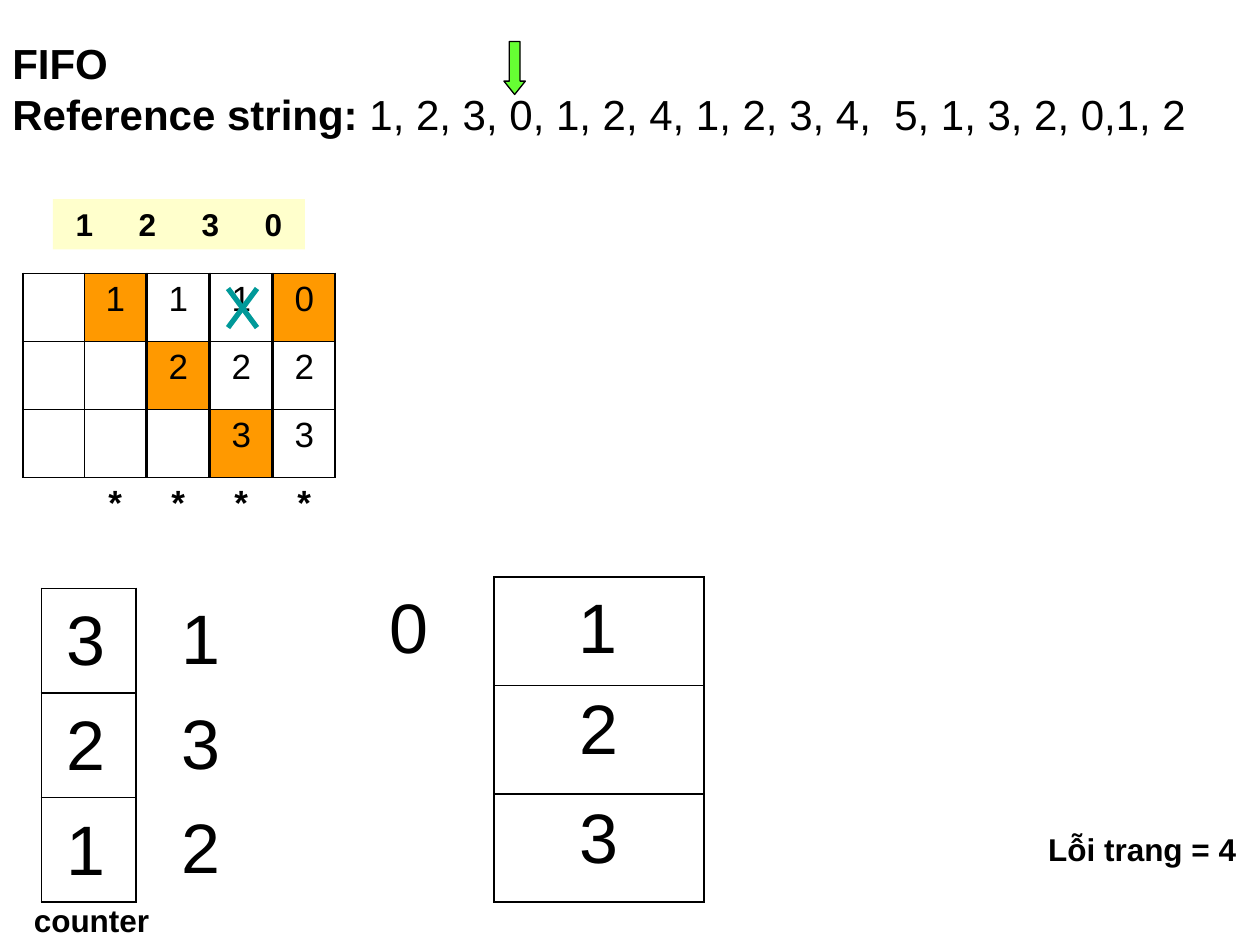
from dataclasses import dataclass

from lxml import etree
from pptx import Presentation
from pptx.dml.color import RGBColor
from pptx.enum import shapes, text
from pptx.oxml import ns
from pptx.util import Inches, Pt

BLACK = RGBColor(0x00, 0x00, 0x00)
CREAM = RGBColor(0xFF, 0xFF, 0xCC)
ORANGE = RGBColor(0xFF, 0x99, 0x00)
TEAL = RGBColor(0x00, 0x99, 0x99)
GREEN = RGBColor(0x66, 0xFF, 0x33)
FONT = "Arial"
NO_STYLE = "{2D5ABB26-0587-4C30-8999-92F81FD0307C}"
THIN, THICK = 0.45, 1.08


@dataclass
class Step:
    page: str
    frames: tuple[str, ...]
    loaded: int | None
    fault: str = "*"


@dataclass
class Label:
    words: str
    left: float
    top: float
    width: float
    height: float
    size: float = 40
    bold: bool = False


@dataclass
class Cell:
    words: str = ""
    borders: tuple[float, float, float, float] = (THICK,) * 4
    fill: RGBColor | None = None
    bold: bool = False


def set_font(font, size: float, bold: bool) -> None:
    font.name, font.size, font.bold = FONT, Pt(size), bold
    font.color.rgb = BLACK


def set_borders(cell, widths: tuple[float, ...]) -> None:
    properties = cell._tc.get_or_add_tcPr()
    for side, width in zip("LRTB", widths):
        line = etree.SubElement(properties, ns.qn(f"a:ln{side}"))
        if width:
            line.set("w", str(Pt(width)))
            fill = etree.SubElement(line, ns.qn("a:solidFill"))
            etree.SubElement(fill, ns.qn("a:srgbClr"), val=str(BLACK))
        else:
            etree.SubElement(line, ns.qn("a:noFill"))


def add_column(slide, left: float, top: float, width: float, row_height: float,
               cells: list[Cell], size: float, space: float) -> None:
    frame = slide.shapes.add_table(len(cells), 1, Inches(left), Inches(top),
                                   Inches(width), Inches(row_height * len(cells)))
    table = frame.table
    table.first_row = table.horz_banding = False
    table._tbl.tblPr.find(ns.qn("a:tableStyleId")).text = NO_STYLE
    for row, content in enumerate(cells):
        cell = table.cell(row, 0)
        set_borders(cell, content.borders)
        if content.fill is None:
            cell.fill.background()
        else:
            cell.fill.solid()
            cell.fill.fore_color.rgb = content.fill
        cell.text = content.words
        paragraph = cell.text_frame.paragraphs[0]
        paragraph.alignment = text.PP_ALIGN.CENTER
        paragraph.space_before = Pt(space)
        set_font(paragraph.font, size, content.bold)


def add_label(slide, label: Label) -> None:
    box = slide.shapes.add_textbox(Inches(label.left), Inches(label.top),
                                   Inches(label.width), Inches(label.height))
    box.text_frame.word_wrap = False
    box.text_frame.auto_size = text.MSO_AUTO_SIZE.SHAPE_TO_FIT_TEXT
    box.text_frame.text = label.words
    set_font(box.text_frame.paragraphs[0].font, label.size, label.bold)


def add_heading(slide) -> None:
    box = slide.shapes.add_textbox(Inches(0), Inches(0.25), Inches(10), Inches(0.9))
    frame = box.text_frame
    frame.word_wrap = True
    frame.auto_size = text.MSO_AUTO_SIZE.SHAPE_TO_FIT_TEXT
    frame.text = "FIFO"
    set_font(frame.paragraphs[0].font, 24, True)
    reference = frame.add_paragraph()
    set_font(reference.font, 24, True)
    reference.add_run().text = "Reference string:"
    pages = reference.add_run()
    pages.text = " 1, 2, 3, 0, 1, 2, 4, 1, 2, 3, 4,  5, 1, 3, 2, 0,1, 2"
    pages.font.bold = False


def add_page(slide, page: str, left: float) -> None:
    tile = slide.shapes.add_shape(shapes.MSO_SHAPE.RECTANGLE, Inches(left),
                                  Inches(1.58), Inches(0.5), Inches(0.4))
    tile.shadow.inherit = False
    tile.fill.solid()
    tile.fill.fore_color.rgb = CREAM
    tile.line.fill.background()
    frame = tile.text_frame
    frame.word_wrap = True
    frame.auto_size = text.MSO_AUTO_SIZE.SHAPE_TO_FIT_TEXT
    frame.vertical_anchor = text.MSO_ANCHOR.TOP
    frame.text = page
    paragraph = frame.paragraphs[0]
    paragraph.alignment = text.PP_ALIGN.CENTER
    paragraph.space_before = Pt(11.2)
    set_font(paragraph.font, 18, True)


def add_step(slide, step: Step, left: float) -> None:
    borders = [(THICK, THICK, THICK, THIN), (THICK, THICK, THIN, THIN),
               (THICK, THICK, THIN, THICK)]
    cells = [Cell(page, border, ORANGE if row == step.loaded else None)
             for row, (page, border) in enumerate(zip(step.frames, borders))]
    cells.append(Cell(step.fault, (0, 0, THICK, 0), bold=True))
    add_column(slide, left, 2.17, 0.49, 0.54, cells, size=20, space=5)


def add_cross(slide, left: float, top: float, right: float, bottom: float) -> None:
    for start, end in ((right, left), (left, right)):
        stroke = slide.shapes.add_connector(shapes.MSO_CONNECTOR.STRAIGHT, Inches(start),
                                            Inches(top), Inches(end), Inches(bottom))
        stroke.line.color.rgb = TEAL
        stroke.line.width = Pt(3)
        etree.SubElement(stroke._element.spPr, ns.qn("a:effectLst"))


def add_pointer(slide) -> None:
    pointer = slide.shapes.add_shape(shapes.MSO_SHAPE.DOWN_ARROW, Inches(4),
                                     Inches(0.33), Inches(0.17), Inches(0.42))
    pointer.adjustments[0], pointer.adjustments[1] = 0.5, 0.625
    pointer.shadow.inherit = False
    pointer.fill.solid()
    pointer.fill.fore_color.rgb = GREEN
    pointer.line.color.rgb = BLACK
    pointer.line.width = Pt(0.74)


STEPS = [
    Step("1", ("1", "", ""), 0),
    Step("2", ("1", "2", ""), 1),
    Step("3", ("1", "2", "3"), 2),
    Step("0", ("0", "2", "3"), 0),
]
START = Step("", ("", "", ""), None, "")
COUNTERS = [("3", "1"), ("2", "3"), ("1", "2")]

presentation = Presentation()
presentation.slide_width, presentation.slide_height = Inches(10), Inches(7.5)
slide = presentation.slides.add_slide(presentation.slide_layouts[6])

for index, step in enumerate(STEPS):
    add_step(slide, step, 0.67 + 0.5 * index)
add_heading(slide)
for index, step in enumerate(STEPS):
    add_page(slide, step.page, 0.42 + 0.5 * index)
add_cross(slide, 1.81, 2.29, 2.04, 2.6)
add_step(slide, START, 0.18)
add_column(slide, 3.92, 4.58, 1.67, 0.86, [Cell(), Cell("2"), Cell("3")], size=40, space=10)
add_pointer(slide)
add_column(slide, 0.33, 4.67, 0.75, 0.83, [Cell() for _ in COUNTERS], size=40, space=10)

labels = [
    Label("Lỗi trang = 4", 8.22, 6.54, 1.69, 0.4, 18, True),
    Label("0", 2.99, 4.58, 0.51, 0.77),
    Label("1", 4.49, 4.58, 0.51, 0.77),
    Label("counter", 0.17, 7.1, 1.15, 0.4, 18, True),
]
for row, (count, page) in enumerate(COUNTERS):
    top = 4.68 + 0.83 * row
    labels += [Label(count, 0.43, top, 0.51, 0.77), Label(page, 1.34, top - 0.01, 0.51, 0.77)]
for label in labels:
    add_label(slide, label)

presentation.save("out.pptx")
